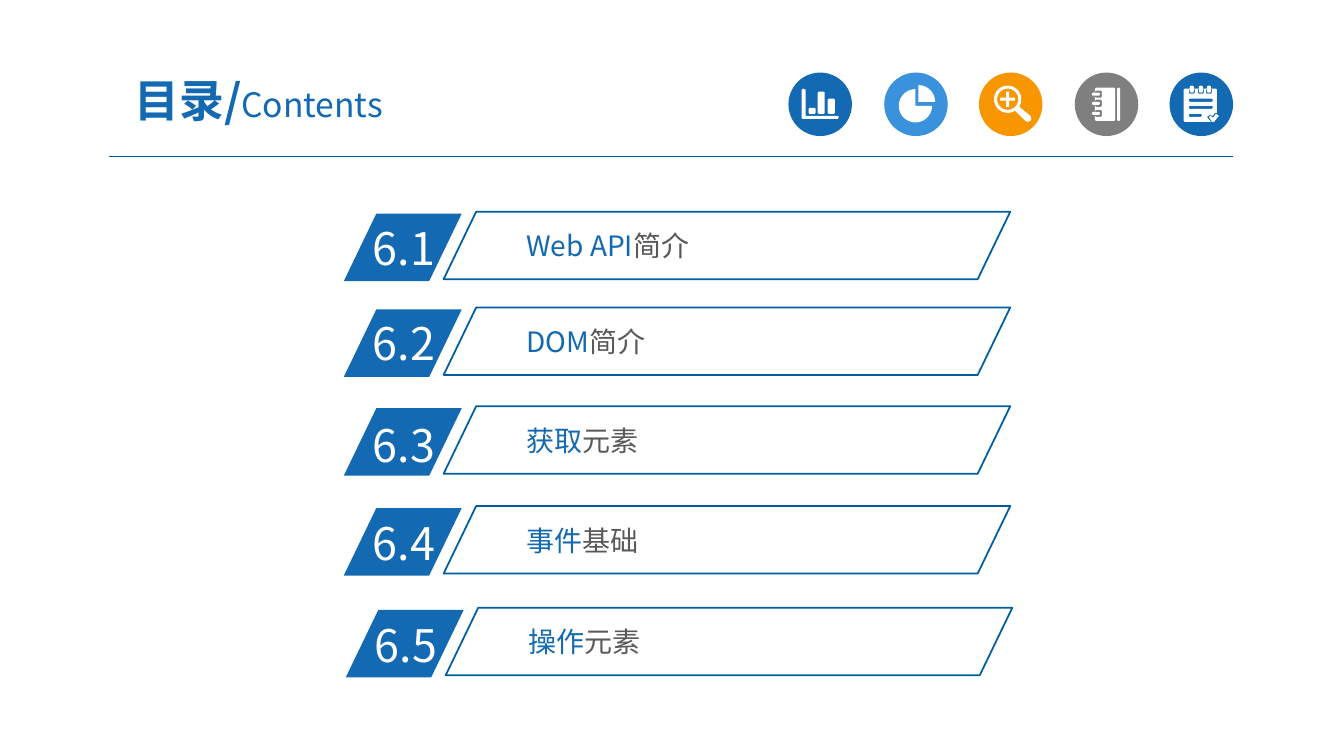
from dataclasses import dataclass
from math import cos, radians, sin

from lxml import etree
from pptx import Presentation
from pptx.dml.color import RGBColor
from pptx.enum.shapes import MSO_CONNECTOR, MSO_SHAPE
from pptx.enum.text import MSO_ANCHOR, MSO_AUTO_SIZE, PP_ALIGN
from pptx.oxml.ns import qn
from pptx.util import Pt

PX = 9144  # 100 px to the inch
FINE = 24  # freeform steps in one px
LINE = MSO_CONNECTOR.STRAIGHT
SLANT = MSO_SHAPE.PARALLELOGRAM
OVAL = MSO_SHAPE.OVAL
TOP, MIDDLE = MSO_ANCHOR.TOP, MSO_ANCHOR.MIDDLE
LEFT, CENTER = PP_ALIGN.LEFT, PP_ALIGN.CENTER
GROW = MSO_AUTO_SIZE.SHAPE_TO_FIT_TEXT


@dataclass(frozen=True)
class Theme:
    font: str = "Noto Sans CJK SC"
    blue: str = "1369B2"
    sky: str = "3992DB"
    amber: str = "F79600"
    gray: str = "7F7F7F"
    white: str = "FFFFFF"
    ink: str = "595959"
    edge: str = "005DA2"
    rule: str = "005B9E"
    big: int = 32
    mid: int = 24
    small: int = 20
    thin: float = 0.75
    bold: float = 1.25


T = Theme()


def rgb(code):
    return RGBColor.from_string(code)


def paint(shape, fill=None, edge=None):
    shape.shadow.inherit = False
    if fill:
        shape.fill.solid()
        shape.fill.fore_color.rgb = rgb(fill)
    else:
        shape.fill.background()
    if edge:
        shape.line.color.rgb = rgb(edge)
        shape.line.width = Pt(T.bold)
    else:
        shape.line.fill.background()


def draw(slide, kind, box, fill=None, edge=None, adj=()):
    shape = slide.shapes.add_shape(kind, *[v * PX for v in box])
    for i, value in enumerate(adj):
        shape.adjustments[i] = value
    paint(shape, fill, edge)


def write(slide, box, runs, pad=(10, 5), anchor=TOP, align=LEFT, grow=True):
    """Add one line of text; each run is (text, size, colour, bold)."""
    frame = slide.shapes.add_textbox(*[v * PX for v in box]).text_frame
    frame.word_wrap = True
    frame.margin_left = frame.margin_right = pad[0] * PX
    frame.margin_top = frame.margin_bottom = pad[1] * PX
    frame.vertical_anchor = anchor
    if grow:
        frame.auto_size = GROW
    para = frame.paragraphs[0]
    para.alignment = align
    for text, size, color, bold in runs:
        run = para.add_run()
        run.text = text
        font = run.font
        font.size, font.bold, font.name = Pt(size), bold, T.font
        font.color.rgb = rgb(color)
        east = etree.SubElement(run._r.get_or_add_rPr(), qn("a:ea"))
        east.set("typeface", T.font)


def bar(x, y, wide, high, cut=1):
    """Outline of a box with its corners cut."""
    r, b = x + wide, y + high
    return [(x + cut, y), (r - cut, y), (r, y + cut), (r, b - cut),
            (r - cut, b), (x + cut, b), (x, b - cut), (x, y + cut)]


def arc(x, y, rad, start=0, end=360):
    return [(x + rad * cos(radians(a)), y + rad * sin(radians(a)))
            for a in range(start, end + 1, 6)]


def bars():
    axis = [(13, 17), (15, 16), (17, 17), (17, 43), (49, 43), (50, 44),
            (49, 46), (14, 46), (13, 45)]
    return [axis, bar(20, 35, 7, 6), bar(29, 19, 7, 22), bar(39, 26, 7, 15)]


def pie():
    return [[(31, 33)] + arc(31, 33, 16.5, 0, 270),
            [(34, 29)] + arc(34, 29, 16.5, 270, 360)]


def lens():
    plus = [(21, 25), (27, 25), (27, 19), (30, 19), (30, 25), (36, 25),
            (36, 28), (30, 28), (30, 34), (27, 34), (27, 28), (21, 28)]
    grip = [(36, 38), (40, 34), (51, 43), (52, 46), (51, 48), (48, 49), (46, 48)]
    return [arc(28.5, 26.5, 13.5), arc(28.5, 26.5, 10.5), plus, grip]


def book():
    parts = [bar(20, 15, 20, 33), bar(42, 15, 3, 33)]
    for y in (20, 29, 39):
        parts += [bar(20, y - 2, 7, 7), bar(17, y, 8, 3)]
    return parts


def pad():
    parts = [[(15, 16), (46, 16), (47, 17), (47, 40), (45, 40), (43, 43),
              (40, 42), (37, 44), (41, 49), (15, 49), (14, 48), (14, 17)],
             [(39, 44), (41, 43), (43, 45), (46, 41), (49, 43), (44, 49), (42, 49)]]
    for x in (20, 29, 37):
        parts += [bar(x - 1, 16, 6, 5), bar(x, 13, 4, 7)]
    for y, wide in ((26, 24), (33, 24), (41, 13)):
        parts.append(bar(19, y, wide, 3))
    return parts


def badge(slide, x, y, color, parts):
    """Draw a disc and its sign; an outline inside another cuts a hole."""
    draw(slide, OVAL, (x, y, 63, 63), color)
    parts = [[(round((x + a) * FINE), round((y + b) * FINE)) for a, b in dots]
             for dots in parts]
    pen = slide.shapes.build_freeform(*parts[0][0], scale=PX / FINE)
    for i, dots in enumerate(parts):
        if i:
            pen.move_to(*dots[0])
        pen.add_line_segments(dots[1:], close=True)
    paint(pen.convert_to_shape(), T.white)


def header(slide, x, y, wide):
    ends = [v * PX for v in (x, y + 83, x + wide, y + 83)]
    rule = slide.shapes.add_connector(LINE, *ends)
    rule.line.color.rgb = rgb(T.rule)
    rule.line.width = Pt(T.thin)
    etree.SubElement(rule._element.spPr, qn("a:effectLst"))
    signs = [(T.blue, bars()), (T.sky, pie()), (T.amber, lens()),
             (T.gray, book()), (T.blue, pad())]
    for i, (color, parts) in enumerate(signs):
        badge(slide, x + 674 + (189 * i + 1) // 2, y, color, parts)
    write(slide, (x - 16, y - 9, 329, 72),
          [("目录/", T.big, T.blue, True), ("Contents", T.mid, T.blue, False)],
          (13, 7), MIDDLE, CENTER, False)


def topic(slide, x, y, drop, number, lead, rest):
    """Draw one row; drop is how far its number sits below its top."""
    draw(slide, SLANT, (x, y + 2, 117, 67), T.blue, adj=(0.482,))
    write(slide, (x + 19, y + drop, 112, 64), [(number, T.big, T.white, False)])
    write(slide, (x + 174, y + 13, 412, 41),
          [(lead, T.small, T.blue, False), (rest, T.small, T.ink, False)],
          (7, 4))
    draw(slide, SLANT, (x + 99, y, 562, 67), None, T.edge, (0.482,))


def main():
    deck = Presentation()
    deck.slide_width, deck.slide_height = 1333 * PX, 750 * PX
    slide = deck.slides.add_slide(deck.slide_layouts[6])
    header(slide, 108, 72, 1115)
    topics = [(341, 210, 4, "Web API", "简介"), (341, 305, 3, "DOM", "简介"),
              (341, 403, 6, "获取", "元素"), (341, 502, 5, "事件", "基础"),
              (343, 603, 5, "操作", "元素")]
    for i, (x, y, drop, lead, rest) in enumerate(topics, 1):
        topic(slide, x, y, drop, f"6.{i}", lead, rest)
    deck.save("out.pptx")


if __name__ == "__main__":
    main()
